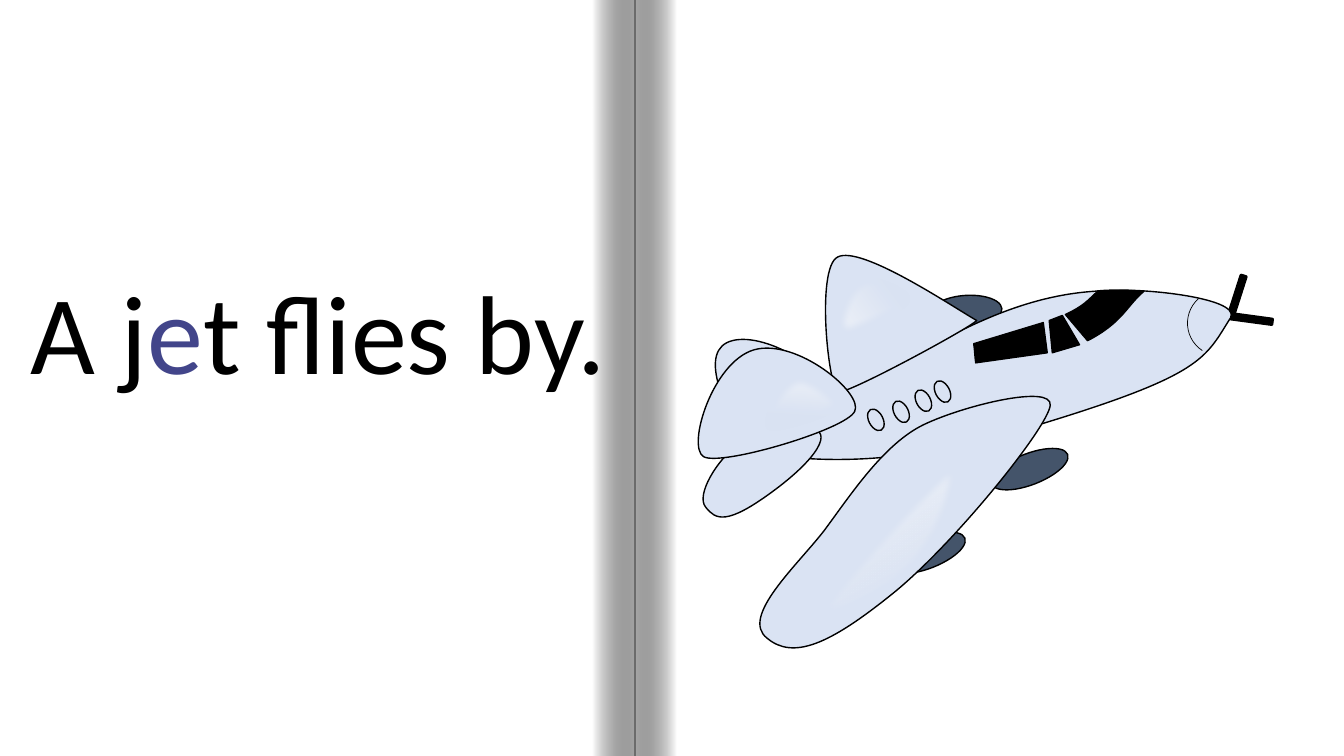
import math
from dataclasses import dataclass

from lxml import etree
from pptx import Presentation
from pptx.dml.color import RGBColor
from pptx.enum.shapes import MSO_SHAPE
from pptx.enum.text import MSO_AUTO_SIZE, PP_ALIGN
from pptx.oxml.ns import qn
from pptx.util import Pt

RECTANGLE, ROUNDED = MSO_SHAPE.RECTANGLE, MSO_SHAPE.ROUNDED_RECTANGLE
ELLIPSE, ARC = MSO_SHAPE.OVAL, MSO_SHAPE.ARC
CENTER = PP_ALIGN.CENTER
GROW = MSO_AUTO_SIZE.SHAPE_TO_FIT_TEXT

WIDTH, HEIGHT = 960, 540
SPINE, GUTTER = 453.6, 30.24
GRID = 0.72  # points per unit of the airplane outlines


@dataclass(frozen=True)
class Theme:
    font: str = "Calibri"
    sentence_size: int = 80
    black: str = "000000"
    paper: str = "FFFFFF"
    vowel: str = "42458A"
    body: str = "DAE3F3"
    shine: str = "F6F8FC"
    engine: str = "44546A"
    outline: float = 1
    fine_line: float = 0.5
    soft_edge: float = 5


@dataclass(frozen=True)
class Outline:
    """Frame (left, top, width, height), its rotation, and the visible contour:
    a start point, then lines (x, y) or curves (two controls and an end)."""
    frame: tuple
    rotation: float
    contour: list


FUSELAGE = Outline((721, 320, 509, 119), 340.7, [
    (738, 451), (702, 454, 805, 402, 863, 375), (921, 348, 993, 295, 1086, 289),
    (1125, 284, 1231, 295, 1221, 315), (1195, 356, 1195, 372, 1022, 424),
    (850, 476, 775, 448, 738, 451)])
FAR_TAIL = Outline((711, 335, 110, 97), 356.3, [
    (735, 433), (727, 417, 692, 355, 721, 340), (751, 325, 820, 364, 822, 392),
    (823, 395, 752, 442, 735, 433)])
LOWER_TAIL = Outline((686, 432, 134, 58), 321.5, [
    (700, 503), (690, 491, 712, 456, 730, 443), (747, 430, 793, 413, 803, 425),
    (828, 427, 811, 455, 766, 488), (721, 521, 710, 516, 700, 503)])
FAR_WING = Outline((794, 241, 155, 124), 331.1, [
    (832, 389), (822, 389, 809, 266, 831, 255), (854, 243, 943, 303, 969, 318),
    (961, 326, 843, 390, 832, 389)])
NEAR_WING = Outline((712, 457, 364, 105), 313.4, [
    (761, 633), (734, 612, 791, 561, 818, 526), (844, 491, 877, 440, 917, 421),
    (957, 402, 1044, 381, 1042, 402), (1040, 424, 944, 543, 883, 591),
    (823, 639, 787, 655, 761, 633)])
SIDE_GLASS = Outline((966, 325, 72, 30), 352, [
    (966, 341), (1035, 320), (1039, 350), (968, 360), (967, 354, 967, 347, 966, 341)])
CORNER_GLASS = Outline((1039, 314, 27, 32), 344.1, [
    (1044, 350), (1071, 342), (1054, 313), (1041, 318), (1044, 350)])
WINDSHIELD = Outline((1057, 288, 80, 49), 356.3, [
    (1057, 312), (1076, 303, 1079, 298, 1089, 289), (1099, 290, 1107, 287, 1135, 289),
    (1118, 303, 1114, 320, 1079, 338), (1057, 312)])
NEAR_TAIL = Outline((713, 313, 98, 161), 253.4, [
    (748, 347), (790, 335, 857, 390, 848, 408), (840, 426, 715, 463, 698, 453),
    (681, 443, 707, 359, 748, 347)])
TAIL_SHINE = Outline((768, 356, 50, 83), 253.4, [
    (786, 374), (807, 367, 841, 396, 837, 405), (833, 414, 769, 433, 760, 428),
    (751, 423, 764, 380, 786, 374)])
NEAR_SHINE = Outline((866, 445, 50, 201), 222.1, [
    (910, 563), (946, 523, 958, 453, 942, 460), (925, 467, 816, 588, 811, 605),
    (806, 622, 873, 603, 910, 563)])
FAR_SHINE = Outline((838, 258, 50, 83), 64, [
    (852, 277), (832, 286, 826, 331, 836, 334), (845, 338, 905, 309, 908, 299),
    (911, 289, 872, 267, 852, 277)])


class Page:
    def __init__(self, slide, theme):
        self.slide, self.theme = slide, theme

    def style(self, shape, fill, line_width):
        shape.shadow.inherit = False
        if fill:
            shape.fill.solid()
            shape.fill.fore_color.rgb = RGBColor.from_string(fill)
        else:
            shape.fill.background()
        if line_width:
            shape.line.color.rgb = RGBColor.from_string(self.theme.black)
            shape.line.width = Pt(line_width)
        else:
            shape.line.fill.background()
        return shape

    def preset(self, kind, left, top, width, height, fill=None, line_width=0, rotation=0):
        shape = self.slide.shapes.add_shape(kind, Pt(left), Pt(top), Pt(width), Pt(height))
        shape.rotation = rotation
        return self.style(shape, fill, line_width)

    def outline(self, outline, fill, line_width=0):
        left, top, width, height = (Pt(value * GRID) for value in outline.frame)
        angle = math.radians(outline.rotation)

        def unrotate(x, y):
            """Place a visible point inside the frame before its rotation."""
            across, down = Pt(x * GRID) - left - width / 2, Pt(y * GRID) - top - height / 2
            return (round(width / 2 + across * math.cos(angle) + down * math.sin(angle)),
                    round(height / 2 - across * math.sin(angle) + down * math.cos(angle)))

        segments = [[unrotate(*segment[i:i + 2]) for i in range(0, len(segment), 2)]
                    for segment in outline.contour]
        ends = [segment[-1] for segment in segments]
        builder = self.slide.shapes.build_freeform(*ends[0], scale=1)
        builder.add_line_segments(ends[1:], close=True)
        shape = builder.convert_to_shape()
        shape.left, shape.top, shape.width, shape.height = left, top, width, height
        shape.rotation = outline.rotation
        # Bend the straight segments into curves within the frame
        path = shape._element.spPr.find(".//" + qn("a:path"))
        path.set("w", str(width))
        path.set("h", str(height))
        for node in list(path):
            path.remove(node)
        for index, segment in enumerate(segments):
            tag = "a:moveTo" if index == 0 else "a:lnTo" if len(segment) == 1 else "a:cubicBezTo"
            node = etree.SubElement(path, qn(tag))
            for x, y in segment:
                etree.SubElement(node, qn("a:pt"), x=str(x), y=str(y))
        etree.SubElement(path, qn("a:close"))
        return self.style(shape, fill, line_width)

    def gradient(self, shape, stops, clockwise_angle, end_opacity=100):
        shape.fill.gradient()
        shape.fill.gradient_angle = (360 - clockwise_angle) % 360
        for stop, (position, color) in zip(shape.fill.gradient_stops, stops):
            stop.position = position
            stop.color.rgb = RGBColor.from_string(color)
        if end_opacity < 100:
            end_color = shape._element.spPr.findall(".//" + qn("a:gs"))[-1][0]
            etree.SubElement(end_color, qn("a:alpha")).set("val", str(end_opacity * 1000))

    def highlight(self, outline, angle):
        shape = self.outline(outline, self.theme.body)
        self.gradient(shape, [(0.32, self.theme.body), (1, self.theme.shine)], angle)
        effects = shape._element.spPr.find(qn("a:effectLst"))
        etree.SubElement(effects, qn("a:softEdge")).set("rad", str(Pt(self.theme.soft_edge)))

    def sentence(self, left, top, width, height, pieces):
        box = self.slide.shapes.add_textbox(Pt(left), Pt(top), Pt(width), Pt(height))
        frame = box.text_frame
        frame.word_wrap = True
        frame.auto_size = GROW
        paragraph = frame.paragraphs[0]
        paragraph.alignment = CENTER
        paragraph.font.name = self.theme.font
        paragraph.font.size = Pt(self.theme.sentence_size)
        for text, color in pieces:
            run = paragraph.add_run()
            run.text = text
            run.font.color.rgb = RGBColor.from_string(color)


def draw_book(page):
    theme = page.theme
    page.slide.background.fill.solid()
    page.slide.background.fill.fore_color.rgb = RGBColor.from_string(theme.black)
    page.preset(RECTANGLE, 0, 0, WIDTH, HEIGHT, theme.paper)
    # Shaded gutter, meeting at the spine with a slight overlap
    for left, angle in ((SPINE - 0.3, 180), (SPINE - GUTTER, 0)):
        gutter = page.preset(RECTANGLE, left, 0, GUTTER, HEIGHT)
        page.gradient(gutter, [(0, theme.paper), (1, theme.black)], angle, end_opacity=34)
    page.sentence(1.44, 184, 452.16, 104.4,
                  [("A j", theme.black), ("e", theme.vowel), ("t flies by.", theme.black)])


def draw_airplane(page):
    theme = page.theme
    line = theme.outline
    # Propeller and far engine
    for left, top, rotation in ((878.4, 225.4, 7.7), (868.3, 208.8, 287.8)):
        page.preset(ROUNDED, left, top, 31, 5, theme.black, line, rotation)
    page.preset(ELLIPSE, 664.6, 211, 51.1, 22.3, theme.engine, line, 356.3)
    # Body, far tail and far wing
    for outline in (FUSELAGE, FAR_TAIL, LOWER_TAIL, FAR_WING):
        page.outline(outline, theme.body, line)
    # Near engines and wing
    for left, top in ((706.3, 324), (632.9, 383.8)):
        page.preset(ELLIPSE, left, top, 58.3, 22.3, theme.engine, line, 338.8)
    page.outline(NEAR_WING, theme.body, line)
    # Cabin windows and cockpit
    for left, top in ((620.6, 291.6), (638.6, 285.8), (654.5, 277.9), (668.2, 271.4)):
        page.preset(ELLIPSE, left, top, 10.1, 16.6, theme.body, line, 332.3)
    for outline in (SIDE_GLASS, CORNER_GLASS, WINDSHIELD):
        page.outline(outline, theme.black, line)
    # Nose seam
    nose = page.preset(ARC, 848.2, 207.4, 46.8, 46.8, None, theme.fine_line, 228.2)
    nose.adjustments[0] = 153.01
    nose.adjustments[1] = 0
    # Near tail and highlights
    page.outline(NEAR_TAIL, theme.body, line)
    for outline, angle in ((TAIL_SHINE, 20), (NEAR_SHINE, 20), (FAR_SHINE, 80)):
        page.highlight(outline, angle)


def main():
    presentation = Presentation()
    presentation.slide_width, presentation.slide_height = Pt(WIDTH), Pt(HEIGHT)
    page = Page(presentation.slides.add_slide(presentation.slide_layouts[6]), Theme())
    draw_book(page)
    draw_airplane(page)
    presentation.save("out.pptx")


if __name__ == "__main__":
    main()
